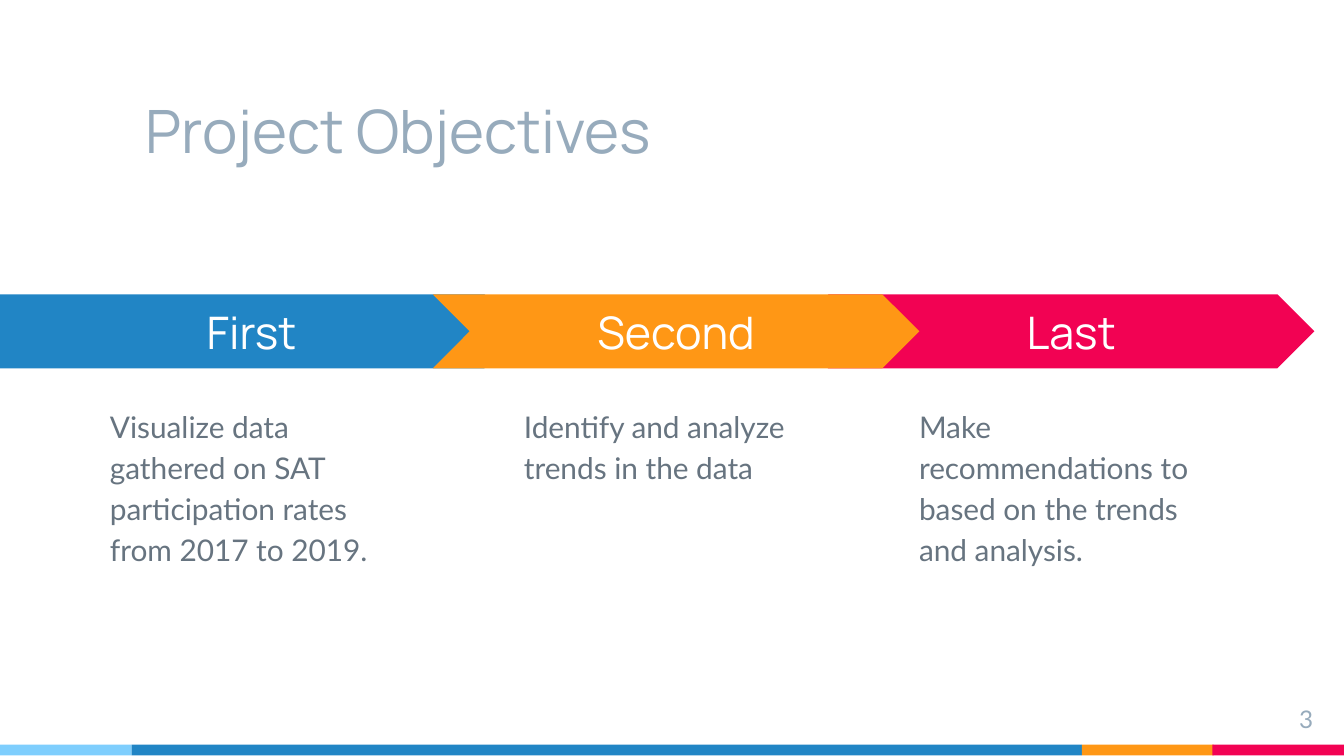
"""Build the project objectives slide: three arrow steps with descriptions."""
from pptx import Presentation
from pptx.dml.color import RGBColor
from pptx.enum.shapes import MSO_SHAPE
from pptx.enum.text import MSO_ANCHOR, MSO_AUTO_SIZE, PP_ALIGN
from pptx.util import Inches, Pt

RECT, PENTAGON, CHEVRON = MSO_SHAPE.RECTANGLE, MSO_SHAPE.PENTAGON, MSO_SHAPE.CHEVRON
TOP, MIDDLE, BOTTOM = MSO_ANCHOR.TOP, MSO_ANCHOR.MIDDLE, MSO_ANCHOR.BOTTOM
LEFT, CENTER, RIGHT = PP_ALIGN.LEFT, PP_ALIGN.CENTER, PP_ALIGN.RIGHT
NO_FIT = MSO_AUTO_SIZE.NONE

SKY, BLUE, ORANGE, PINK = "7ECEFD", "2185C5", "FF9715", "F20253"
WHITE, MIST, SLATE = "FFFFFF", "97ABBC", "677480"

TITLE = {"font": {"name": "Manrope", "size": Pt(32)}, "color": MIST,
         "para": {"alignment": LEFT}, "anchor": BOTTOM}
STEP = {"font": {"name": "Manrope", "size": Pt(24)}, "color": WHITE,
        "para": {"alignment": CENTER}, "anchor": MIDDLE}
BODY = {"font": {"name": "Lato", "size": Pt(16)}, "color": SLATE,
        "para": {"alignment": LEFT, "line_spacing": 1.15}, "anchor": TOP}
NUMBER = {"font": {"name": "Lato", "size": Pt(13)}, "color": MIST,
          "para": {"alignment": RIGHT}, "anchor": TOP}

FOOTER = [(0, 0.98, SKY), (0.98, 7.07, BLUE), (8.05, 0.98, ORANGE), (9.02, 0.98, PINK)]
STEPS = [
    (CHEVRON, 6.16, 3.62, PINK, "Last", 6.74,
     "Make recommendations to based on the trends and analysis."),
    (PENTAGON, 0, 3.88, BLUE, "First", 0.72,
     "Visualize data gathered on SAT participation rates from 2017 to 2019."),
    (CHEVRON, 3.22, 3.62, ORANGE, "Second", 3.8,
     "Identify and analyze trends in the data"),
]


def rgb(value):
    """Return the colour for a hex string."""
    return RGBColor.from_string(value)


def set_attrs(obj, values):
    """Set each attribute in a dict of values."""
    for name, value in values.items():
        setattr(obj, name, value)


def write(sp, text, style):
    """Put one styled paragraph into a shape."""
    tf = sp.text_frame
    set_attrs(tf, {"word_wrap": True, "auto_size": NO_FIT,
                   "vertical_anchor": style["anchor"]})
    set_attrs(tf, {f"margin_{side}": Inches(0.1)
                   for side in ("left", "top", "right", "bottom")})
    p = tf.paragraphs[0]
    set_attrs(p, style["para"])
    r = p.add_run()
    r.text = text
    set_attrs(r.font, style["font"])
    r.font.color.rgb = rgb(style["color"])


def add_block(shapes, kind, box, color):
    """Add a flat filled shape without outline."""
    sp = shapes.add_shape(kind, *map(Inches, box))
    sp.shadow.inherit = False
    sp.fill.solid()
    sp.fill.fore_color.rgb = rgb(color)
    sp.line.fill.background()
    return sp


def add_text(shapes, box, text, style):
    """Add a styled text box."""
    write(shapes.add_textbox(*map(Inches, box)), text, style)


def add_title(s, box, text):
    """Place and fill the title placeholder."""
    sp = s.shapes.title
    set_attrs(sp, dict(zip(("left", "top", "width", "height"), map(Inches, box))))
    write(sp, text, TITLE)


def add_step(s, kind, left, width, color, label, text_left, text):
    """Add a grouped arrow and its description."""
    shapes = s.shapes.add_group_shape().shapes
    arrow = add_block(shapes, kind, (left, 2.19, width, 0.55), color)
    arrow.adjustments[0] = 0.5
    write(arrow, label, STEP)
    add_text(shapes, (text_left, 2.9, 2.44, 2.15), text, BODY)


def main():
    """Build and save the slide."""
    prs = Presentation()
    width = Inches(10)
    set_attrs(prs, {"slide_width": width, "slide_height": width * 9 // 16})
    s = prs.slides.add_slide(prs.slide_layouts[5])
    for left, width, color in FOOTER:
        add_block(s.shapes, RECT, (left, 5.54, width, 0.08), color)
    add_title(s, (0.98, 0.39, 7.07, 0.94), "Project Objectives")
    for step in STEPS:
        add_step(s, *step)
    add_text(s.shapes, (9.27, 5.14, 0.6, 0.34), "3", NUMBER)
    prs.save("out.pptx")


if __name__ == "__main__":
    main()
